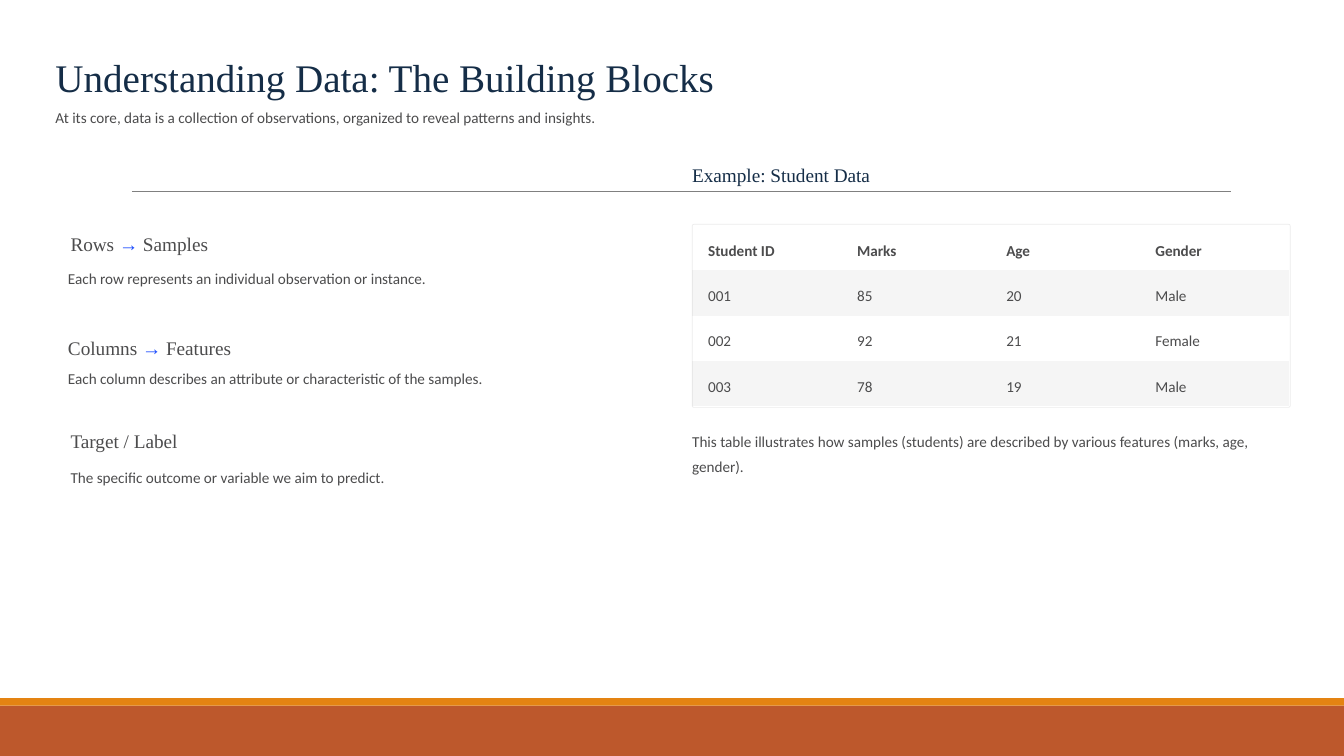
from lxml import etree
from pptx import Presentation, util as u
from pptx.dml.color import RGBColor
from pptx.enum import shapes, text
from pptx.oxml import ns

HUES = {
    "navy": "152D47", "gray": "4C4C4D", "blue": "2150FE", "rule": "808080",
    "rust": "BD582C", "gold": "E48312", "band": "F5F5F5", "black": "000000",
}
SERIF, SANS = "Times New Roman", "Calibri"
ARROW = "→"
HEAD = dict(font=SERIF, size=16.5, line=21)
PLAIN_GRID = "{2D5ABB26-0587-4C30-8999-92F81FD0307C}"


def hue(name):
    return RGBColor.from_string(HUES[name])


def write(frame, words, font=SANS, size=13, color="gray", bold=False,
          line=21.5, wrap=False):
    """Fill a text frame with one paragraph; any arrow in it turns blue."""
    frame.word_wrap = wrap
    frame.margin_left = frame.margin_right = 0
    frame.margin_top = frame.margin_bottom = 0
    para = frame.paragraphs[0]
    para.alignment = text.PP_ALIGN.LEFT
    para.line_spacing = u.Pt(line)
    for part in words.partition(ARROW):
        if part:
            run = para.add_run()
            run.text = part
            run.font.name, run.font.size = font, u.Pt(size)
            run.font.bold = bold
            run.font.color.rgb = hue("blue" if part == ARROW else color)


class Deck:
    def __init__(self):
        self.prs = Presentation()
        self.prs.slide_width, self.prs.slide_height = u.Inches(16), u.Inches(9)
        self.slide = self.prs.slides.add_slide(self.prs.slide_layouts[5])
        self.items = self.slide.shapes

    def title(self, words, *box):
        head = self.items.title
        head.left, head.top, head.width, head.height = map(u.Inches, box)
        frame = head.text_frame
        frame.auto_size = text.MSO_AUTO_SIZE.NONE
        frame.vertical_anchor = text.MSO_ANCHOR.TOP
        write(frame, words, font=SERIF, size=33.5, color="navy", line=42)

    def label(self, words, *box, **style):
        item = self.items.add_textbox(*map(u.Inches, box))
        write(item.text_frame, words, **style)

    def bar(self, color, *box):
        item = self.items.add_shape(shapes.MSO_SHAPE.RECTANGLE,
                                    *map(u.Inches, box))
        item.shadow.inherit = False
        item.fill.solid()
        item.fill.fore_color.rgb = hue(color)
        item.line.fill.background()

    def rule(self, *ends):
        item = self.items.add_connector(shapes.MSO_CONNECTOR.STRAIGHT,
                                        *map(u.Inches, ends))
        item.line.color.rgb, item.line.width = hue("rule"), u.Pt(0.5)
        etree.SubElement(item._element.spPr, ns.qn("a:effectLst"))

    def frame(self, *box):
        """Draw a faint rounded outline."""
        item = self.items.add_shape(shapes.MSO_SHAPE.ROUNDED_RECTANGLE,
                                    *map(u.Inches, box))
        item.adjustments[0] = 0.01
        item.shadow.inherit = False
        item.fill.background()
        item.line.color.rgb, item.line.width = hue("black"), u.Pt(0.6)
        tint = item.line._ln.find(".//" + ns.qn("a:srgbClr"))
        etree.SubElement(tint, ns.qn("a:alpha"), val="8000")

    def table(self, rows, *box):
        item = self.items.add_table(len(rows), len(rows[0]),
                                    *map(u.Inches, box))
        grid = item.table
        grid._tbl.tblPr.find(ns.qn("a:tableStyleId")).text = PLAIN_GRID
        grid.first_row = grid.horz_banding = False
        for r, row in enumerate(rows):
            for c, words in enumerate(row):
                cell = grid.cell(r, c)
                write(cell.text_frame, words, bold=r == 0, wrap=True)
                cell.margin_left = u.Inches(0.19)
                cell.margin_right = cell.margin_top = cell.margin_bottom = 0
                cell.vertical_anchor = text.MSO_ANCHOR.MIDDLE
                if r % 2:
                    cell.fill.solid()
                    cell.fill.fore_color.rgb = hue("band")
                else:
                    cell.fill.background()


TERMS = [
    ("Rows → Samples", 0.84, 2.75,
     "Each row represents an individual observation or instance.", 0.81, 3.13),
    ("Columns → Features", 0.81, 3.99,
     "Each column describes an attribute or characteristic of the samples.",
     0.81, 4.31),
    ("Target / Label", 0.84, 5.09,
     "The specific outcome or variable we aim to predict.", 0.84, 5.5),
]
STUDENTS = [
    ("Student ID", "Marks", "Age", "Gender"),
    ("001", "85", "20", "Male"),
    ("002", "92", "21", "Female"),
    ("003", "78", "19", "Male"),
]


def main():
    deck = Deck()
    deck.bar("rust", 0, 8.4, 16, 0.6)
    deck.bar("gold", 0, 8.31, 16, 0.09)
    deck.rule(1.57, 2.28, 14.65, 2.28)
    deck.title("Understanding Data: The Building Blocks",
               0.66, 0.61, 8.01, 0.58)
    deck.label("At its core, data is a collection of observations, organized "
               "to reveal patterns and insights.", 0.66, 1.21, 14.69, 0.3)
    for term, x, y, note, left, top in TERMS:
        deck.label(term, x, y, 2.34, 0.29, **HEAD)
        deck.label(note, left, top, 6.74, 0.3)
    deck.label("Example: Student Data", 8.24, 1.93, 2.34, 0.29,
               color="navy", **HEAD)
    deck.table(STUDENTS, 8.24, 2.68, 7.1, 2.16)
    deck.frame(8.24, 2.67, 7.12, 2.18)
    deck.label("This table illustrates how samples (students) are described "
               "by various features (marks, age, gender).",
               8.24, 5.06, 7.12, 0.6, wrap=True)
    deck.prs.save("out.pptx")


if __name__ == "__main__":
    main()
